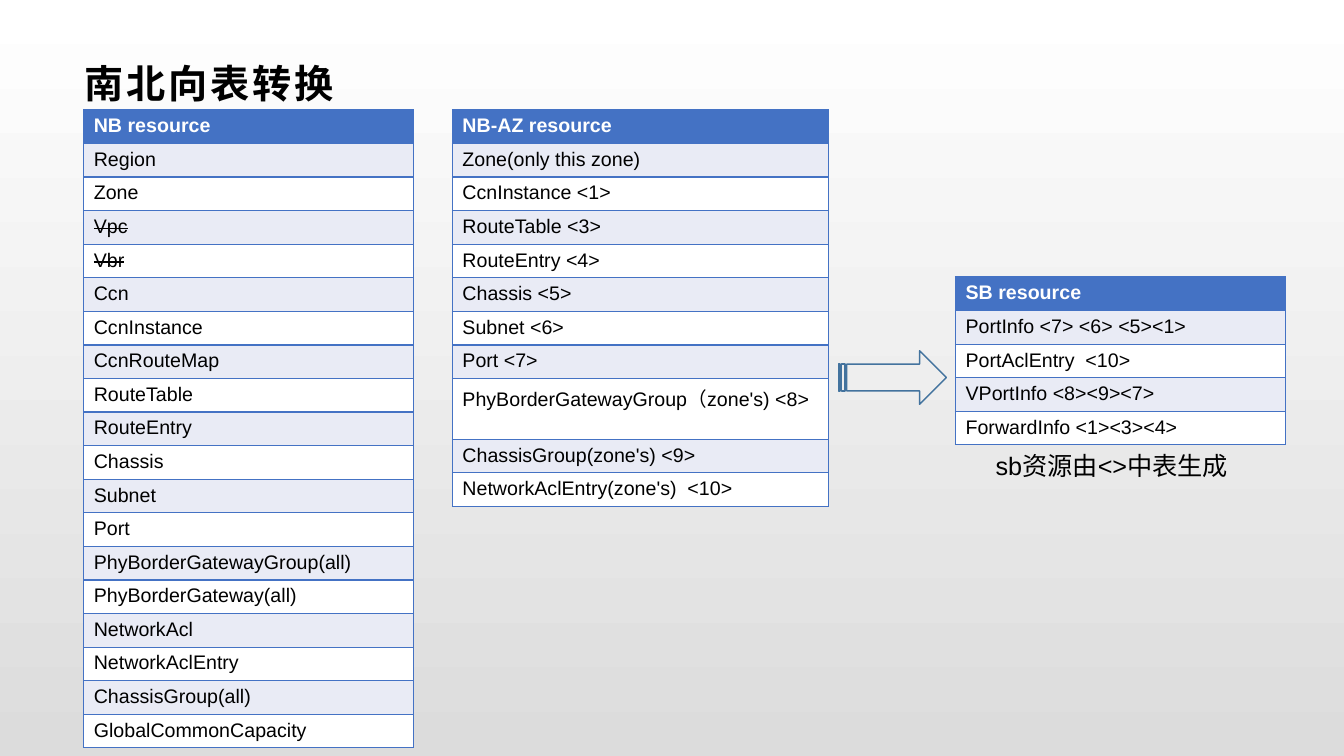
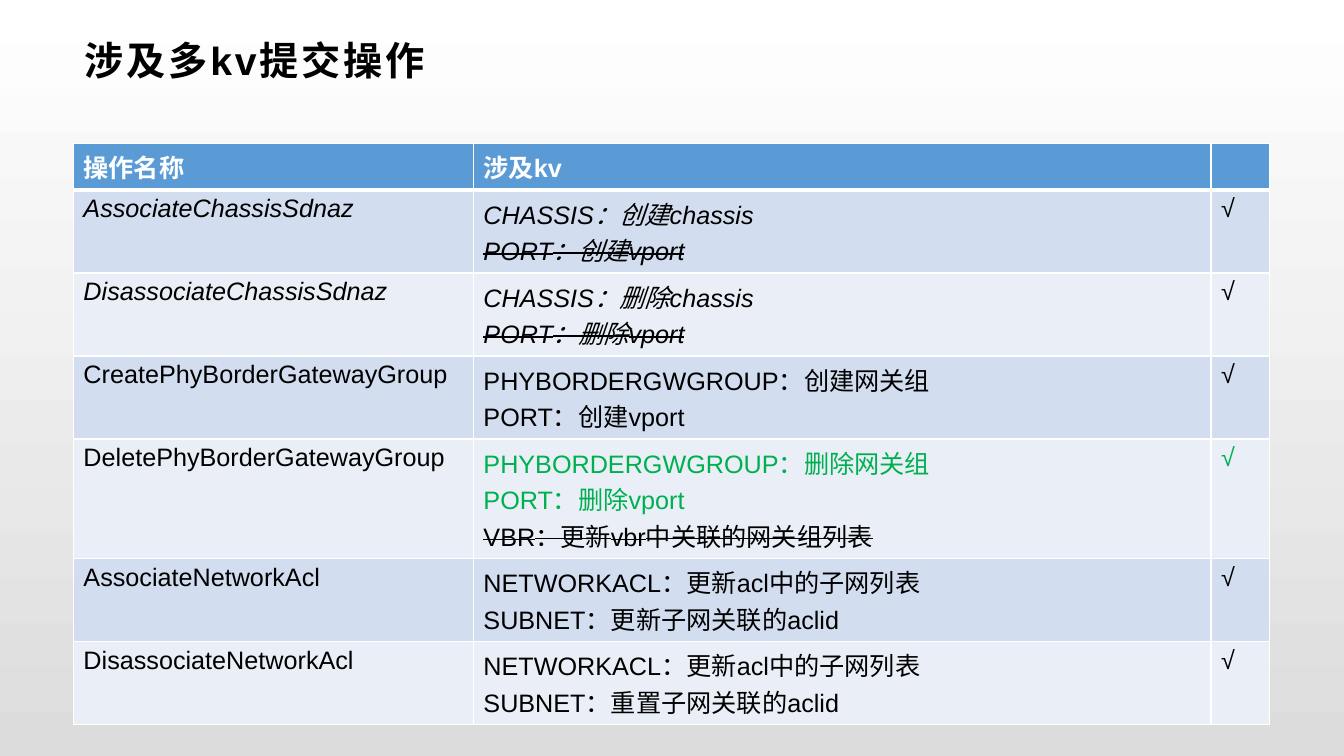
import pptx
import pptx.dml.color
import pptx.enum.shapes
import pptx.enum.text
import pptx.oxml
import pptx.oxml.ns
import pptx.util
from pptx.dml.color import RGBColor
from pptx.util import Cm

BLACK = RGBColor(0x00, 0x00, 0x00)
WHITE = RGBColor(0xFF, 0xFF, 0xFF)
BACKGROUND_GREY = RGBColor(0xDC, 0xDC, 0xDC)
RESOURCE_BLUE = RGBColor(0x44, 0x72, 0xC4)
RESOURCE_BAND = RGBColor(0xE9, 0xEB, 0xF5)
OPERATION_BLUE = RGBColor(0x5B, 0x9B, 0xD5)
OPERATION_BANDS = (RGBColor(0xD2, 0xDE, 0xEF), RGBColor(0xEA, 0xEF, 0xF7))
ARROW_BLUE = RGBColor(0x43, 0x73, 0x9E)
GREEN = RGBColor(0x00, 0xB0, 0x50)
FONT = "Arial"


def write_text(paragraph, text, size=18, color=BLACK, bold=False, italic=False,
               strike=False, spacing=None, asian_font=None):
    """Add one formatted run to a paragraph."""
    run = paragraph.add_run()
    run.text = text
    font = run.font
    font.name = FONT
    font.size = pptx.util.Pt(size)
    font.color.rgb = color
    font.bold = bold
    font.italic = italic
    properties = run._r.get_or_add_rPr()
    if strike:
        properties.set("strike", "sngStrike")
    if spacing:
        properties.set("spc", str(spacing * 100))
    if asian_font:
        latin = properties.find(pptx.oxml.ns.qn("a:latin"))
        latin.addnext(pptx.oxml.parse_xml(
            f'<a:ea {pptx.oxml.ns.nsdecls("a")} typeface="{asian_font}"/>'))


def set_borders(cell, color, bottom_width=1):
    """Draw one-point borders round a cell, with a chosen bottom width."""
    properties = cell._tc.get_or_add_tcPr()
    widths = {"lnL": 1, "lnR": 1, "lnT": 1, "lnB": bottom_width}
    for index, (side, width) in enumerate(widths.items()):
        properties.insert(index, pptx.oxml.parse_xml(
            f'<a:{side} {pptx.oxml.ns.nsdecls("a")} w="{pptx.util.Pt(width)}">'
            f'<a:solidFill><a:srgbClr val="{color}"/></a:solidFill></a:{side}>'))


class Deck:
    """Hold the shared style and the current slide."""

    def __init__(self):
        """Set the slide size and the shared gradient background."""
        self.presentation = pptx.Presentation()
        self.presentation.slide_width = Cm(33.87)
        self.presentation.slide_height = Cm(19.05)
        self.slide = None
        fill = self.presentation.slide_master.background.fill
        fill.gradient()
        fill.gradient_angle = 270
        for stop, color in zip(fill.gradient_stops, (WHITE, BACKGROUND_GREY)):
            stop.color.rgb = color

    def add_slide(self, title, title_top=1.19):
        """Start a slide and fill its title placeholder."""
        layout = self.presentation.slide_layouts[5]
        self.slide = self.presentation.slides.add_slide(layout)
        shape = self.slide.shapes.title
        shape.left, shape.top = Cm(1.85), Cm(title_top)
        shape.width, shape.height = Cm(30.15), Cm(1.8)
        frame = shape.text_frame
        frame.word_wrap = True
        frame.auto_size = pptx.enum.text.MSO_AUTO_SIZE.NONE
        frame.vertical_anchor = pptx.enum.text.MSO_ANCHOR.MIDDLE
        frame.margin_left, frame.margin_right = Cm(0.28), Cm(0.2)
        frame.margin_top = frame.margin_bottom = Cm(0.1)
        paragraph = frame.paragraphs[0]
        paragraph.alignment = pptx.enum.text.PP_ALIGN.LEFT
        write_text(paragraph, title, size=28, bold=True, spacing=2)

    def add_table(self, left, top, widths, row_height, rows, header_color,
                  bands, border_color, size, header_line=1):
        """Add a banded table; each cell is a list of (text, format) lines."""
        table = self.slide.shapes.add_table(
            len(rows), len(widths), Cm(left), Cm(top),
            Cm(sum(widths)), Cm(row_height * len(rows))).table
        table.horz_banding = False
        for column, width in zip(table.columns, widths):
            column.width = Cm(width)
        for row_index, row in enumerate(rows):
            table.rows[row_index].height = Cm(row_height)
            is_header = row_index == 0
            for column_index, lines in enumerate(row):
                cell = table.cell(row_index, column_index)
                cell.fill.solid()
                cell.fill.fore_color.rgb = (
                    header_color if is_header else bands[(row_index - 1) % 2])
                set_borders(cell, border_color, header_line if is_header else 1)
                frame = cell.text_frame
                for line_index, (text, style) in enumerate(lines):
                    paragraph = (frame.add_paragraph() if line_index
                                 else frame.paragraphs[0])
                    if is_header:
                        style = {"color": WHITE, "bold": True}
                    write_text(paragraph, text, size=size, **style)

    def add_resource_table(self, left, top, width, names, struck=()):
        """Add a one-column list of resources under a heading."""
        rows = [[[(name, {"strike": name in struck})]] for name in names]
        self.add_table(left, top, [width], 16.08 / 19, rows, RESOURCE_BLUE,
                       (RESOURCE_BAND, WHITE), RESOURCE_BLUE, 14)

    def add_striped_arrow(self, left, top, width, height):
        """Add an outlined striped arrow that points right."""
        shape = self.slide.shapes.add_shape(
            pptx.enum.shapes.MSO_SHAPE.STRIPED_RIGHT_ARROW,
            Cm(left), Cm(top), Cm(width), Cm(height))
        shape.shadow.inherit = False
        shape.fill.background()
        shape.line.color.rgb = ARROW_BLUE
        shape.line.width = pptx.util.Pt(1)

    def add_note(self, left, top, width, height, text):
        """Add a wrapped text box."""
        shape = self.slide.shapes.add_textbox(
            Cm(left), Cm(top), Cm(width), Cm(height))
        shape.text_frame.word_wrap = True
        write_text(shape.text_frame.paragraphs[0], text, asian_font=FONT)


def build_resource_slide(deck):
    """Show how northbound tables become southbound tables."""
    deck.add_slide("南北向表转换")
    deck.add_resource_table(2.11, 2.77, 8.31, [
        "NB resource", "Region", "Zone", "Vpc", "Vbr", "Ccn", "CcnInstance",
        "CcnRouteMap", "RouteTable", "RouteEntry", "Chassis", "Subnet", "Port",
        "PhyBorderGatewayGroup(all)", "PhyBorderGateway(all)", "NetworkAcl",
        "NetworkAclEntry", "ChassisGroup(all)", "GlobalCommonCapacity",
    ], struck=("Vpc", "Vbr"))
    deck.add_resource_table(11.4, 2.77, 9.47, [
        "NB-AZ resource", "Zone(only this zone)", "CcnInstance <1>",
        "RouteTable <3>", "RouteEntry <4>", "Chassis <5>", "Subnet <6>",
        "Port <7>", "PhyBorderGatewayGroup（zone's) <8>",
        "ChassisGroup(zone's) <9>", "NetworkAclEntry(zone's)  <10>",
    ])
    deck.add_resource_table(24.08, 6.98, 8.31, [
        "SB resource", "PortInfo <7> <6> <5><1>", "PortAclEntry  <10>",
        "VPortInfo <8><9><7>", "ForwardInfo <1><3><4>",
    ])
    deck.add_striped_arrow(21.13, 8.84, 2.72, 1.35)
    deck.add_note(24.84, 11.23, 6.38, 1.02, "sb资源由<>中表生成")


def build_operation_slide(deck):
    """List the operations that commit several key-value pairs."""
    deck.add_slide("涉及多kv提交操作", title_top=0.6)
    plain, italic = {}, {"italic": True}
    struck, green = {"strike": True}, {"color": GREEN}
    struck_italic = {**struck, **italic}
    operations = [
        ("AssociateChassisSdnaz", italic,
         [("CHASSIS：创建chassis", italic), ("PORT：创建vport", struck_italic)]),
        ("DisassociateChassisSdnaz", italic,
         [("CHASSIS：删除chassis", italic), ("PORT：删除vport", struck_italic)]),
        ("CreatePhyBorderGatewayGroup", plain,
         [("PHYBORDERGWGROUP：创建网关组", plain), ("PORT：创建vport", plain)]),
        ("DeletePhyBorderGatewayGroup", plain,
         [("PHYBORDERGWGROUP：删除网关组", green), ("PORT：删除vport", green),
          ("VBR：更新vbr中关联的网关组列表", struck)]),
        ("AssociateNetworkAcl", plain,
         [("NETWORKACL：更新acl中的子网列表", plain),
          ("SUBNET：更新子网关联的aclid", plain)]),
        ("DisassociateNetworkAcl", plain,
         [("NETWORKACL：更新acl中的子网列表", plain),
          ("SUBNET：重置子网关联的aclid", plain)]),
    ]
    rows = [[[("操作名称", plain)], [("涉及kv", plain)], []]]
    for name, style, changes in operations:
        tick_style = {**changes[0][1], **italic}
        rows.append([[(name, style)], changes, [("√", tick_style)]])
    deck.add_table(1.85, 3.61, [10.08, 18.59, 1.47], 1.07, rows, OPERATION_BLUE,
                   OPERATION_BANDS, WHITE, 18, header_line=3)


def main():
    """Build and save the presentation."""
    deck = Deck()
    build_resource_slide(deck)
    build_operation_slide(deck)
    deck.presentation.save("out.pptx")


main()
